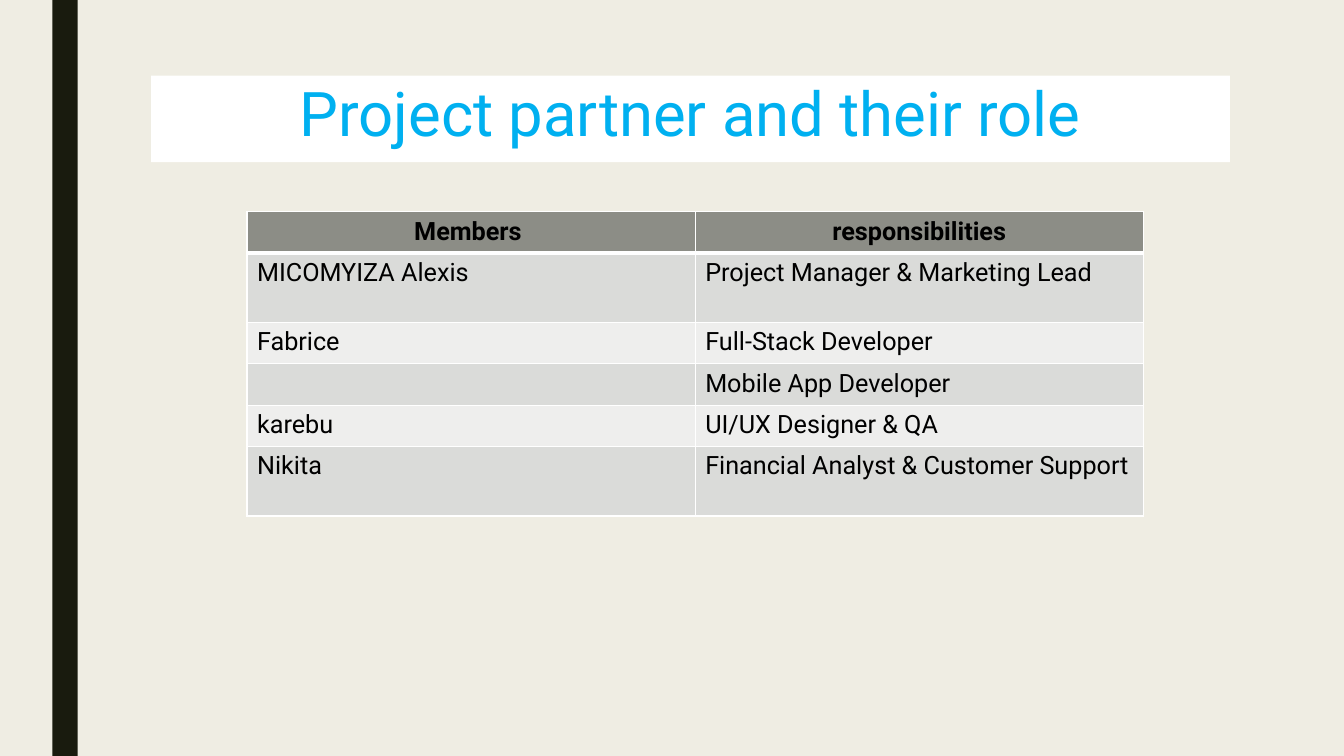
from dataclasses import dataclass

from lxml import etree
from pptx import Presentation
from pptx.dml.color import RGBColor
from pptx.enum.shapes import MSO_SHAPE
from pptx.enum.text import MSO_ANCHOR, PP_ALIGN
from pptx.oxml.ns import qn
from pptx.shapes.autoshape import Shape
from pptx.table import _Cell
from pptx.text.text import _Paragraph
from pptx.util import Inches, Pt

RECTANGLE = MSO_SHAPE.RECTANGLE
TOP = MSO_ANCHOR.TOP
CENTER, LEFT = PP_ALIGN.CENTER, PP_ALIGN.LEFT

SAND = RGBColor(0xEF, 0xED, 0xE3)
DARK_OLIVE = RGBColor(0x19, 0x1B, 0x0E)
WHITE = RGBColor(0xFF, 0xFF, 0xFF)
BLACK = RGBColor(0x00, 0x00, 0x00)
SKY_BLUE = RGBColor(0x00, 0xB0, 0xF0)
HEADER_GREY = RGBColor(0x8C, 0x8D, 0x86)
BAND_GREYS = (RGBColor(0xDA, 0xDB, 0xD9), RGBColor(0xEE, 0xEE, 0xED))

SLIDE_WIDTH, SLIDE_HEIGHT = 13.33, 7.5
LINE_ROW, TALL_ROW = 0.41, 0.69  # inches

TITLE_FORMAT = {"name": "Roboto", "size": Pt(44), "bold": False}
HEADER_FORMAT = {"name": "Roboto", "size": Pt(18), "bold": True}
BODY_FORMAT = {**HEADER_FORMAT, "bold": False}


@dataclass(frozen=True)
class Area:
    """A rectangle in inches."""
    left: float
    top: float
    width: float
    height: float

    def lengths(self) -> list[int]:
        return [Inches(n) for n in (self.left, self.top, self.width, self.height)]


@dataclass(frozen=True)
class Role:
    member: str
    duty: str
    height: float = LINE_ROW


STRIPE = Area(0.52, 0, 0.25, SLIDE_HEIGHT)
TITLE = Area(1.5, 0.75, 10.7, 0.86)
HEADINGS = Role("Members ", "responsibilities")
ROLES = [
    Role("MICOMYIZA Alexis", "Project Manager & Marketing Lead", TALL_ROW),
    Role("Fabrice", "Full-Stack Developer"),
    Role("", "Mobile App Developer"),
    Role("karebu", "UI/UX Designer & QA"),
    Role("Nikita", "Financial Analyst & Customer Support", TALL_ROW),
]
ROWS = [HEADINGS, *ROLES]
TABLE = Area(2.45, 2.1, 8.89, sum(row.height for row in ROWS))


def add_block(page, area: Area, color: RGBColor) -> Shape:
    box = page.shapes.add_shape(RECTANGLE, *area.lengths())
    box.shadow.inherit = False
    box.fill.solid()
    box.fill.fore_color.rgb = color
    box.line.fill.background()
    return box


def write(para: _Paragraph, text: str, font_format: dict, color: RGBColor,
          alignment: PP_ALIGN) -> None:
    para.alignment = alignment
    span = para.add_run()
    span.text = text
    for name, value in font_format.items():
        setattr(span.font, name, value)
    span.font.color.rgb = color


def set_borders(cell: _Cell, top: float, bottom: float) -> None:
    properties = cell._tc.get_or_add_tcPr()
    widths = {"a:lnL": 1, "a:lnR": 1, "a:lnT": top, "a:lnB": bottom}
    for position, (tag, width) in enumerate(widths.items()):
        line = etree.Element(qn(tag), w=str(Pt(width)))
        fill = etree.SubElement(line, qn("a:solidFill"))
        etree.SubElement(fill, qn("a:srgbClr"), val=str(WHITE))
        properties.insert(position, line)


def add_title(page) -> None:
    frame = add_block(page, TITLE, WHITE).text_frame
    frame.word_wrap = True
    frame.vertical_anchor = TOP
    frame.margin_top = Inches(0.08)
    para = frame.paragraphs[0]
    para.line_spacing = 0.89
    write(para, "Project partner and their role", TITLE_FORMAT, SKY_BLUE, CENTER)


def add_roles_table(page) -> None:
    table = page.shapes.add_table(len(ROWS), 2, *TABLE.lengths()).table
    for column in table.columns:
        column.width = Inches(TABLE.width / 2)
    for index, role in enumerate(ROWS):
        table.rows[index].height = Inches(role.height)
        is_header = index == 0
        for cell, text in zip(table.rows[index].cells, (role.member, role.duty)):
            cell.fill.solid()
            cell.fill.fore_color.rgb = (
                HEADER_GREY if is_header else BAND_GREYS[(index - 1) % 2])
            set_borders(cell, top=3 if index == 1 else 1, bottom=3 if is_header else 1)
            if text:
                write(cell.text_frame.paragraphs[0], text,
                      HEADER_FORMAT if is_header else BODY_FORMAT, BLACK,
                      CENTER if is_header else LEFT)


def main() -> None:
    deck = Presentation()
    deck.slide_width, deck.slide_height = Inches(SLIDE_WIDTH), Inches(SLIDE_HEIGHT)
    page = deck.slides.add_slide(deck.slide_layouts[6])

    # Background and side stripe
    page.background.fill.solid()
    page.background.fill.fore_color.rgb = SAND
    add_block(page, STRIPE, DARK_OLIVE)

    # Title and table of members
    add_title(page)
    add_roles_table(page)
    deck.save("out.pptx")


if __name__ == "__main__":
    main()
